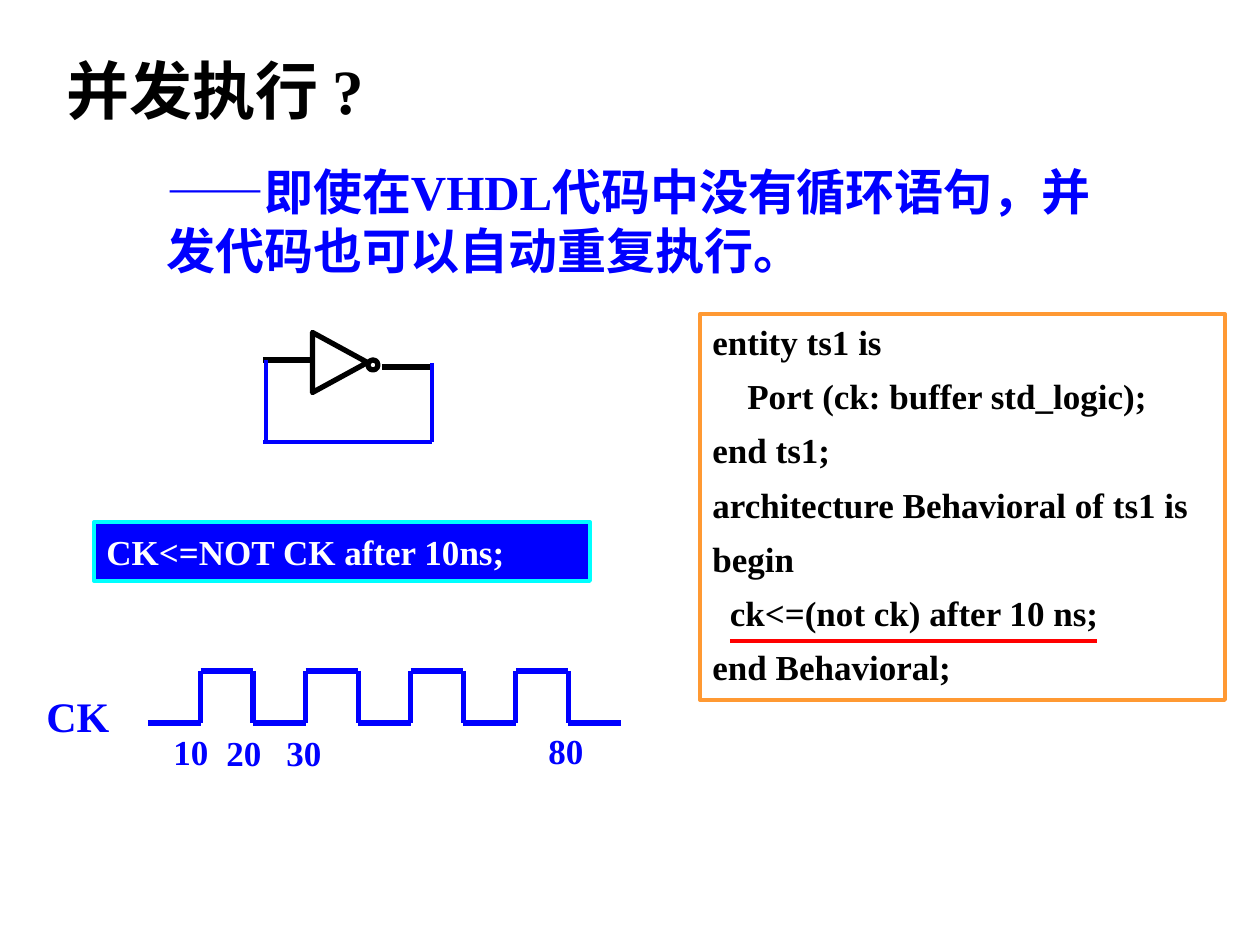
from pptx import Presentation
from pptx.dml.color import RGBColor
from pptx.enum.shapes import MSO_CONNECTOR, MSO_SHAPE
from pptx.enum.text import MSO_ANCHOR, PP_ALIGN
from pptx.oxml.ns import qn
from pptx.util import Pt
from lxml.etree import SubElement

SCALE = 914400 / 126
COLORS = {
    "black": "000000",
    "white": "FFFFFF",
    "blue": "0000FF",
    "cyan": "00FFFF",
    "orange": "FF9933",
    "red": "FF0000",
}
LATIN = "Times New Roman"
CHINESE = "Noto Sans CJK SC"


def px(value):
    return round(value * SCALE)


def color(name):
    return RGBColor.from_string(COLORS[name])


def add_run(paragraph, text, size, color_name, font=LATIN):
    run = paragraph.add_run()
    run.text = text
    run.font.size = Pt(size)
    run.font.bold = True
    run.font.color.rgb = color(color_name)
    run.font.name = font
    SubElement(run._r.get_or_add_rPr(), qn("a:ea")).set("typeface", CHINESE)


def add_text(slide, box, runs, align=PP_ALIGN.LEFT):
    shape = slide.shapes.add_textbox(*map(px, box))
    shape.text_frame.word_wrap = True
    paragraph = shape.text_frame.paragraphs[0]
    paragraph.alignment = align
    for run in runs:
        add_run(paragraph, *run)


def add_line(slide, start, end, color_name, width):
    line = slide.shapes.add_connector(
        MSO_CONNECTOR.STRAIGHT, *map(px, (*start, *end))
    )
    line.line.color.rgb = color(color_name)
    line.line.width = Pt(width)
    SubElement(line._element.spPr, qn("a:effectLst"))


def add_outline(slide, kind, box, line_name, width, fill_name=None):
    shape = slide.shapes.add_shape(kind, *map(px, box))
    shape.shadow.inherit = False
    shape.line.color.rgb = color(line_name)
    shape.line.width = Pt(width)
    if fill_name:
        shape.fill.solid()
        shape.fill.fore_color.rgb = color(fill_name)
    else:
        shape.fill.background()
    return shape


def add_code_box(slide, box, lines, text_name, fill_name, line_name, anchor):
    shape = add_outline(slide, MSO_SHAPE.RECTANGLE, box, line_name, 2.25, fill_name)
    frame = shape.text_frame
    frame.word_wrap = True
    frame.vertical_anchor = anchor
    for index, text in enumerate(lines):
        paragraph = frame.add_paragraph() if index else frame.paragraphs[0]
        paragraph.alignment = PP_ALIGN.LEFT
        if index:
            paragraph.space_before = Pt(7)
        add_run(paragraph, text, 20, text_name)


def add_headings(slide, left, top):
    add_text(slide, (left, top, 377, 88), [
        ("并发执行 ", 36, "black", CHINESE),
        ("?", 36, "black"),
    ])
    add_text(slide, (left + 100, top + 110, 993, 130), [
        ("——即使在VHDL代码中没有循环语句，并发代码也可以自动重复执行。", 28, "blue"),
    ])


def add_inverter_loop(slide, left, top):
    gate = add_outline(
        slide, MSO_SHAPE.FLOWCHART_EXTRACT, (left + 47, top + 2, 60, 55), "black", 3
    )
    gate.rotation = 90
    add_outline(slide, MSO_SHAPE.OVAL, (left + 105, top + 27, 10, 10), "black", 3)
    segments = [
        ((0, 27), (49, 27), "black", 3),
        ((119, 34), (169, 34), "black", 3),
        ((169, 30), (169, 109), "blue", 2.25),
        ((169, 109), (0, 109), "blue", 2.25),
        ((3, 107), (3, 27), "blue", 2.25),
    ]
    for (x1, y1), (x2, y2), name, width in segments:
        add_line(slide, (left + x1, top + y1), (left + x2, top + y2), name, width)


def add_clock_wave(slide, left, top, width, height):
    add_text(slide, (left, top + 13, 121, 63), [("CK", 24, "blue")], PP_ALIGN.JUSTIFY)
    start, phases = left + 114, 9
    step = (width - 114) / phases
    for phase in range(phases):
        x1, x2 = start + phase * step, start + (phase + 1) * step
        level = top if phase % 2 else top + height
        add_line(slide, (x1, level), (x2, level), "blue", 3)
        if phase:
            add_line(slide, (x1, top), (x1, top + height), "blue", 3)
    for text, x, y in [("10", 127, 1), ("20", 180, 2), ("30", 240, 2), ("80", 502, 0)]:
        add_text(slide, (left + x, top + height + y, 69, 54), [(text, 20, "blue")])


def add_entity_code(slide, left, top, width, height):
    add_code_box(slide, (left, top, width, height), [
        "entity ts1 is",
        "    Port (ck: buffer std_logic);",
        "end ts1;",
        "architecture Behavioral of ts1 is",
        "begin",
        "  ck<=(not ck) after 10 ns;",
        "end Behavioral;",
    ], "black", "white", "orange", MSO_ANCHOR.TOP)
    underline = top + 327
    add_line(slide, (left + 30, underline), (left + 397, underline), "red", 2.25)


def main():
    presentation = Presentation()
    presentation.slide_width = px(1260)
    presentation.slide_height = px(945)
    slide = presentation.slides.add_slide(presentation.slide_layouts[6])
    add_headings(slide, 54, 45)
    add_inverter_loop(slide, 263, 333)
    add_clock_wave(slide, 34, 671, 587, 52)
    add_entity_code(slide, 700, 314, 525, 386)
    add_code_box(slide, (94, 522, 496, 59), ["CK<=NOT CK after 10ns;"],
                 "white", "blue", "cyan", MSO_ANCHOR.MIDDLE)
    presentation.save("out.pptx")


if __name__ == "__main__":
    main()
